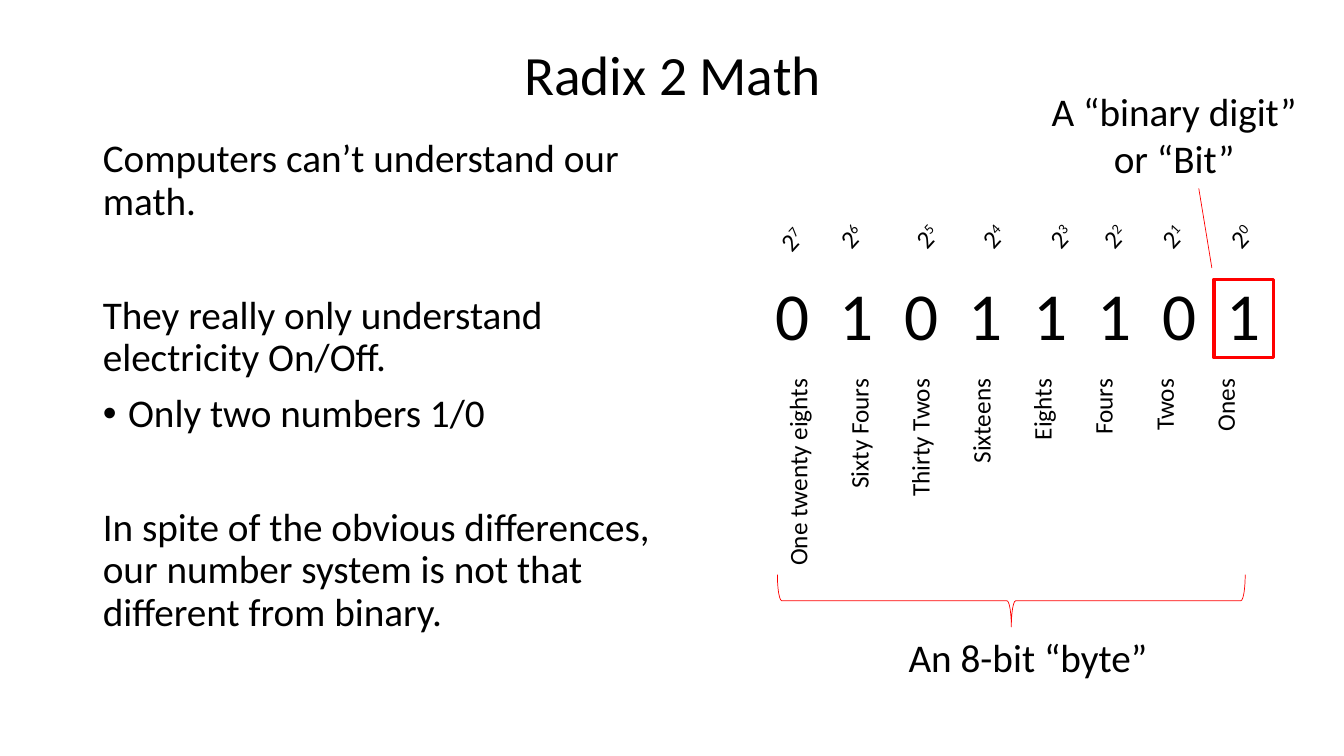
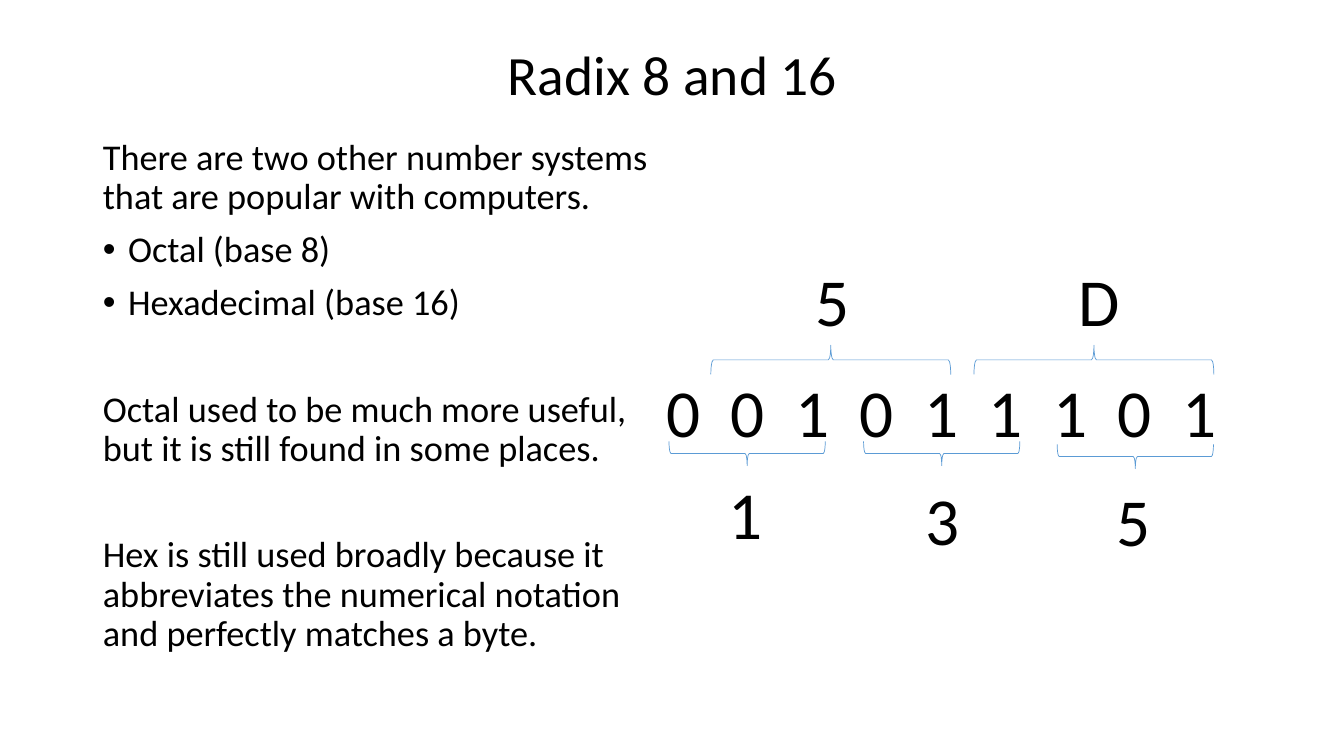
from lxml.etree import SubElement
from pptx import Presentation
from pptx.dml.color import RGBColor
from pptx.enum.shapes import MSO_CONNECTOR as Connector, MSO_SHAPE as Shape
from pptx.enum.text import MSO_ANCHOR as Anchor, MSO_AUTO_SIZE as AutoSize, PP_ALIGN as Align
from pptx.oxml.ns import qn
from pptx.util import Inches, Pt

COLORS = {"text": "000000", "red": "FF0000", "blue": "5B9BD5"}
FONT = "Calibri"
DIGIT_SIZE = 48
DIGIT_PITCH = 0.64
POWER_LEFTS = [7.56, 8.15, 8.9, 9.56, 10.23, 10.76, 11.34, 12.02]
PLACES = ["One twenty eights", "Sixty Fours", "Thirty Twos", "Sixteens",
          "Eights", "Fours", "Twos", "Ones"]
BINARY_BODY = [
    ("Computers can’t understand our math.", "plain"),
    ("They really only understand electricity On/Off.", "section"),
    ("Only two numbers 1/0", "bullet"),
    ("In spite of the obvious differences, our number system is not that "
     "different from binary.", "section"),
]
RADIX_BODY = [
    ("There are two other number systems that are popular with computers.", "plain"),
    ("Octal (base 8)", "bullet"),
    ("Hexadecimal (base 16)", "bullet"),
    ("Octal used to be much more useful, but it is still found in some places.", "section"),
    ("Hex is still used broadly because it abbreviates the numerical notation "
     "and perfectly matches a byte.", "section"),
]


def color(name):
    """Return the named colour."""
    return RGBColor.from_string(COLORS[name])


def style_para(para, size, align=Align.LEFT):
    """Align a paragraph and format its runs."""
    para.alignment = align
    for span in para.runs:
        span.font.name = FONT
        span.font.size = Pt(size)
        span.font.color.rgb = color("text")


def place(shape, left, top, width, height):
    """Move and size a placeholder."""
    shape.left, shape.top = Inches(left), Inches(top)
    shape.width, shape.height = Inches(width), Inches(height)


def set_bullet(para, bulleted):
    """Give a paragraph a hanging bullet, or none."""
    props = para._p.get_or_add_pPr()
    indent = Inches(0.25) if bulleted else 0
    props.set("marL", str(indent))
    props.set("indent", str(-indent))
    if bulleted:
        SubElement(props, qn("a:buFont")).set("typeface", "Arial")
        SubElement(props, qn("a:buChar")).set("char", "•")
    else:
        SubElement(props, qn("a:buNone"))


def add_page(deck, title, items, body_size):
    """Add a slide with its title and body text."""
    page = deck.slides.add_slide(deck.slide_layouts[1])
    heading, body = page.shapes.title, page.placeholders[1]
    place(heading, 0.92, 0.4, 11.5, 0.73)
    place(body, 0.92, 1.33, 5.67, 5.42)
    heading.text_frame.text = title
    heading.text_frame.vertical_anchor = Anchor.MIDDLE
    heading.text_frame.paragraphs[0].line_spacing = 0.9
    style_para(heading.text_frame.paragraphs[0], 39.6, Align.CENTER)
    body.text_frame.text = "\n".join(text for text, kind in items)
    for frame in (heading.text_frame, body.text_frame):
        frame.auto_size = AutoSize.NONE
    section_gap = round(20 + body_size * 1.1)
    for index, (para, (text, kind)) in enumerate(zip(body.text_frame.paragraphs, items)):
        set_bullet(para, kind == "bullet")
        para.line_spacing = 0.9
        gap = section_gap if kind == "section" else 10
        para.space_before = Pt(gap if index else 0)
        style_para(para, body_size)
    return page


def add_text(page, text, bounds, size, align=Align.LEFT, rotation=0, gap=0):
    """Add a text box with one paragraph per line of text."""
    box = page.shapes.add_textbox(*map(Inches, bounds))
    box.rotation = rotation
    box.text_frame.word_wrap = True
    box.text_frame.text = text
    for index, para in enumerate(box.text_frame.paragraphs):
        para.space_before = Pt(gap if index else 0)
        style_para(para, size, align)
    return box


def add_digits(page, digits, left, top):
    """Add a row of digits set on equal tab stops."""
    width = len(digits) * DIGIT_PITCH + 0.2
    box = add_text(page, "\t".join(digits), (left, top, width, 0.91), DIGIT_SIZE)
    stops = SubElement(box.text_frame.paragraphs[0]._p.get_or_add_pPr(), qn("a:tabLst"))
    for index in range(1, len(digits)):
        stop = SubElement(stops, qn("a:tab"))
        stop.set("pos", str(Inches(index * DIGIT_PITCH)))
        stop.set("algn", "l")


def add_power(page, exponent, left, top):
    """Add a tilted power of two."""
    box = add_text(page, "2", (left, top, 0.95, 0.4), 18, rotation=312.2)
    para = box.text_frame.paragraphs[0]
    span = para.add_run()
    span.text = str(exponent)
    style_para(para, 18)
    span._r.get_or_add_rPr().set("baseline", "30000")


def add_outline(page, kind, bounds, line_color, weight):
    """Add an unfilled shape."""
    shape = page.shapes.add_shape(kind, *map(Inches, bounds))
    shape.shadow.inherit = False
    shape.fill.background()
    shape.line.color.rgb = color(line_color)
    shape.line.width = Pt(weight)
    return shape


def add_brace(page, center_x, center_y, span, depth, line_color, rotation=90):
    """Add a horizontal brace around a centre point."""
    bounds = (center_x - depth / 2, center_y - span / 2, depth, span)
    add_outline(page, Shape.RIGHT_BRACE, bounds, line_color, 0.5).rotation = rotation


def add_pointer(page, start, end):
    """Add a thin red line."""
    line = page.shapes.add_connector(Connector.STRAIGHT, *map(Inches, start + end))
    line.line.color.rgb = color("red")
    line.line.width = Pt(0.5)
    SubElement(line._element.spPr, qn("a:effectLst"))


def build_binary(deck):
    """Build the slide on bits and bytes."""
    page = add_page(deck, "Radix 2 Math", BINARY_BODY, 28)
    add_digits(page, "01011101", 7.59, 2.66)
    for index, left in enumerate(POWER_LEFTS):
        add_power(page, 7 - index, left, 1.94 if index else 1.97)
    add_text(page, "\n".join(PLACES), (8.96, 2.41, 2.14, 4.64), 18,
             Align.RIGHT, rotation=270, gap=22)
    add_outline(page, Shape.RECTANGLE, (12.04, 2.77, 0.59, 0.78), "red", 2.25)
    add_text(page, "A “binary digit”\nor “Bit”", (10.2, 0.82, 2.89, 1.04), 28, Align.CENTER)
    add_pointer(page, (11.89, 1.87), (12.02, 2.66))
    add_brace(page, 10.03, 5.96, 4.64, 0.52, "red")
    add_text(page, "An 8-bit “byte”", (8.75, 6.23, 2.89, 0.57), 28, Align.CENTER)


def build_radix(deck):
    """Build the slide on octal and hexadecimal."""
    page = add_page(deck, "Radix 8 and 16", RADIX_BODY, 25.9)
    add_digits(page, "001011101", 6.51, 3.62)
    for center, brace_y in [(7.41, 4.5), (9.34, 4.5), (11.26, 4.53)]:
        add_brace(page, center, brace_y, 1.55, 0.24, "blue")
    for center in (8.24, 10.85):
        add_brace(page, center, 3.57, 2.38, 0.29, "blue", rotation=270)
    for value, left, top in [("1", 7.13, 4.64), ("3", 9.08, 4.7), ("5", 10.98, 4.71),
                             ("5", 7.99, 2.52), ("D", 10.6, 2.52)]:
        add_text(page, value, (left, top, 0.57, 0.91), DIGIT_SIZE)


def main():
    """Build and save the deck."""
    deck = Presentation()
    deck.slide_width, deck.slide_height = Inches(13.33), Inches(7.5)
    build_binary(deck)
    build_radix(deck)
    deck.save("out.pptx")


if __name__ == "__main__":
    main()
